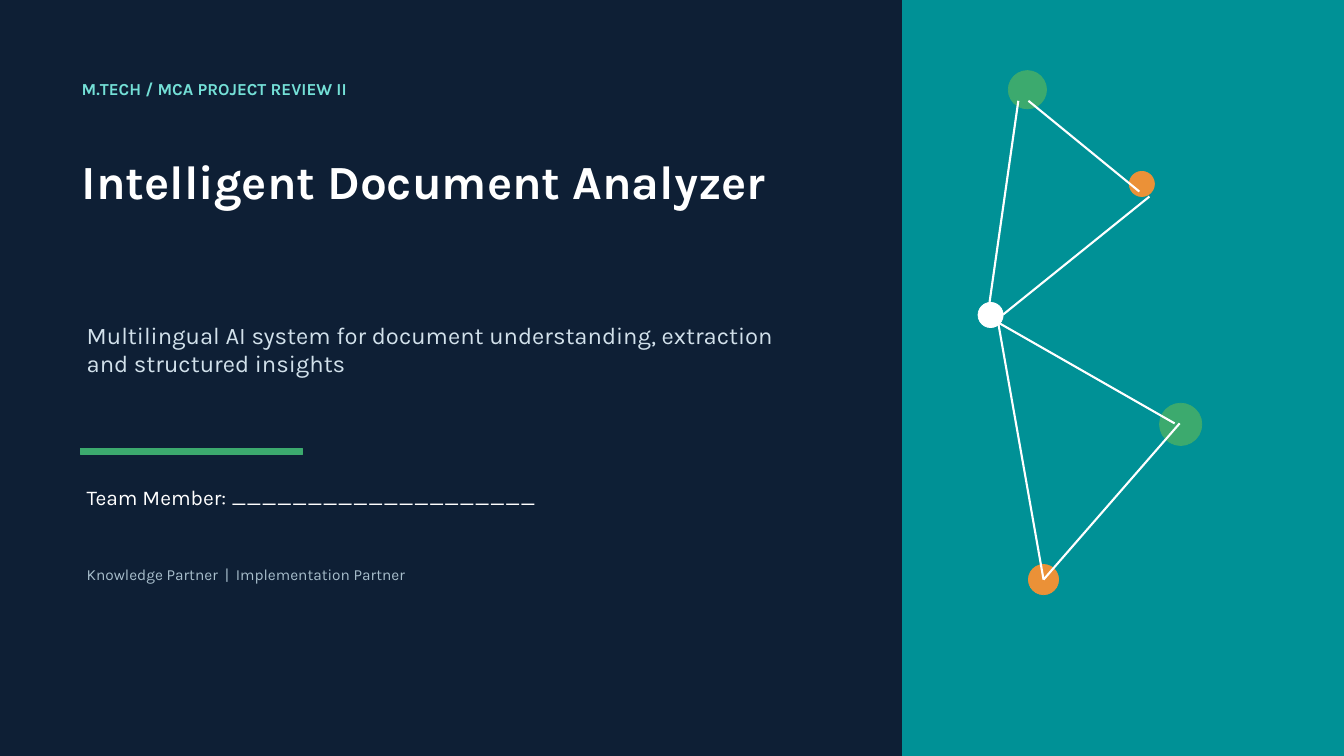
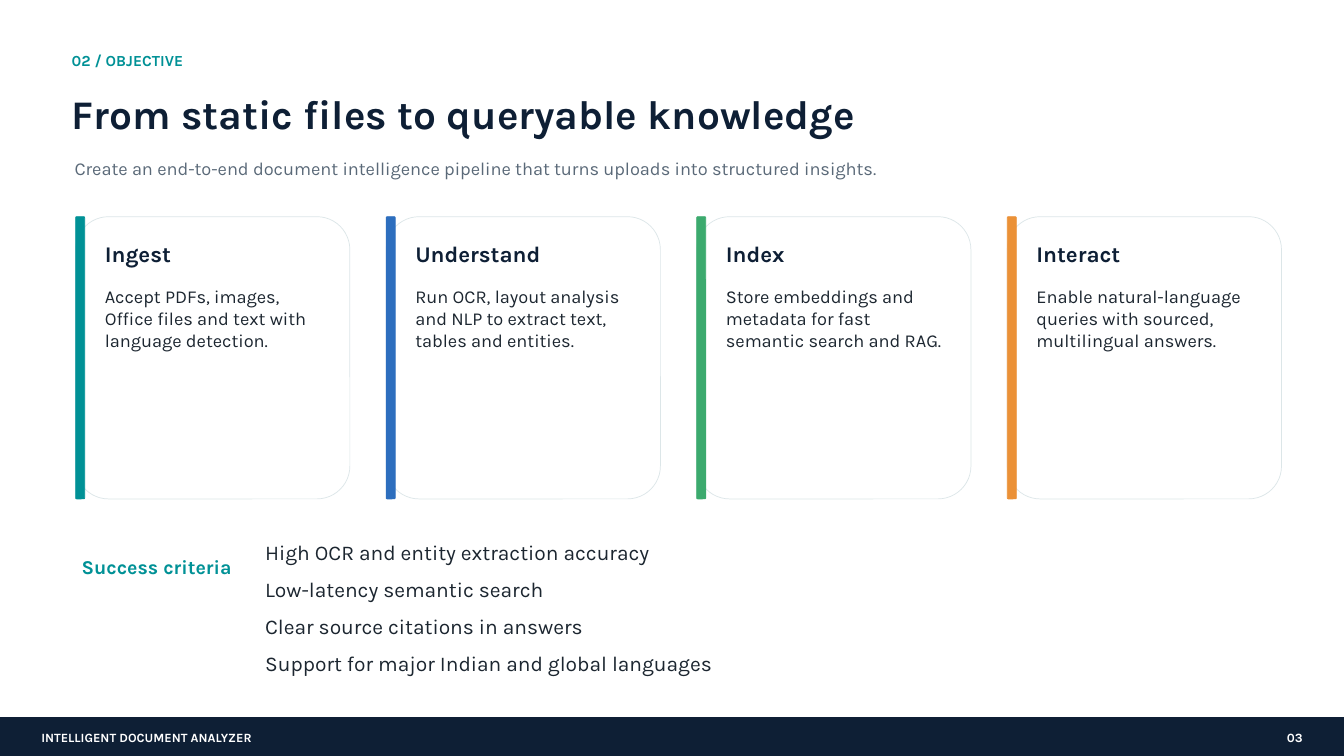
"""Builds the two Intelligent Document Analyzer slides."""
from lxml import etree
from pptx import Presentation
from pptx import util as u
from pptx.dml.color import RGBColor
from pptx.enum import shapes, text
from pptx.oxml.ns import qn

SCALE = 9144
FONT = "Karla"
NAVY, TEAL, GREEN, ORANGE = "0E1F35", "009196", "3CAA6E", "EB9137"
BLUE, WHITE, INK, BORDER = "2D6EBE", "FFFFFF", "1C2630", "DCE6E8"
MINT, ICE, MIST, GREY = "74E0D7", "D2E1EB", "A8BECC", "5A6978"
RECT = shapes.MSO_SHAPE.RECTANGLE
ROUND = shapes.MSO_SHAPE.ROUNDED_RECTANGLE
OVAL = shapes.MSO_SHAPE.OVAL


def px(n):
    return u.Emu(n * SCALE)


def rgb(color):
    return RGBColor.from_string(color)


class Deck:
    """Holds the presentation, its style and the current slide."""

    def __init__(self):
        self.prs = Presentation()
        self.prs.slide_width, self.prs.slide_height = px(1333), px(750)
        self.s = None

    def slide(self, background):
        self.s = self.prs.slides.add_slide(self.prs.slide_layouts[5])
        fill = self.s.background.fill
        fill.solid()
        fill.fore_color.rgb = rgb(background)

    def set_text(self, sp, lines, size, color, bold=False, align=text.PP_ALIGN.LEFT,
                 insets=(6, 6, 6, 6), after=0, tabs=()):
        tf = sp.text_frame
        tf.word_wrap = True
        tf.auto_size = text.MSO_AUTO_SIZE.NONE
        tf.vertical_anchor = text.MSO_ANCHOR.TOP
        tf.margin_left, tf.margin_top, tf.margin_right, tf.margin_bottom = map(px, insets)
        for i, line in enumerate(lines):
            p = tf.add_paragraph() if i else tf.paragraphs[0]
            p.text = line
            p.alignment = align
            p.space_after = u.Pt(after)
            if tabs:
                stops = etree.SubElement(p._p.get_or_add_pPr(), qn("a:tabLst"))
                for pos in tabs:
                    etree.SubElement(stops, qn("a:tab"), pos=str(px(pos)), algn="l")
            p.font.name, p.font.size, p.font.bold = FONT, u.Pt(size), bold
            p.font.color.rgb = rgb(color)

    def title(self, box, line, size, color):
        sp = self.s.shapes.title
        sp.left, sp.top, sp.width, sp.height = map(px, box)
        self.set_text(sp, [line], size, color, bold=True)

    def text(self, box, lines, size, color, **style):
        sp = self.s.shapes.add_textbox(*map(px, box))
        self.set_text(sp, lines, size, color, **style)

    def shape(self, kind, box, fill, line=None):
        sp = self.s.shapes.add_shape(kind, *map(px, box))
        sp.shadow.inherit = False
        sp.fill.solid()
        sp.fill.fore_color.rgb = rgb(fill)
        sp.line.color.rgb = rgb(line or fill)
        sp.line.width = u.Pt(0.5)
        if kind == ROUND:
            sp.adjustments[0] = 0.12

    def line(self, start, end):
        cn = self.s.shapes.add_connector(
            shapes.MSO_CONNECTOR.STRAIGHT, *map(px, start + end))
        cn.line.color.rgb = rgb(WHITE)
        cn.line.width = u.Pt(1.5)
        etree.SubElement(cn._element.spPr, qn("a:effectLst"))

    def card(self, left, heading, body, accent):
        top, width, height = 215, 272, 280
        self.shape(ROUND, (left, top, width, height), WHITE, BORDER)
        self.shape(ROUND, (left, top, 9, height), accent)
        self.text((left + 23, top + 17, width - 35, 35), [heading], 16, NAVY, bold=True)
        self.text((left + 23, top + 62, width - 35, 208), [body], 13, INK)

    def footer(self, label, number):
        self.shape(RECT, (0, 712, 1333, 38), NAVY)
        self.text((35, 718, 600, 22), [label], 9, WHITE, bold=True)
        self.text((1263, 718, 35, 22), [number], 9, WHITE, bold=True,
                  align=text.PP_ALIGN.RIGHT)


def cover(deck):
    deck.slide(NAVY)
    deck.shape(RECT, (895, 0, 438, 750), TEAL)
    for left, top, size, color in [
        (1000, 70, 38, GREEN), (1120, 170, 25, ORANGE), (970, 300, 25, WHITE),
        (1150, 400, 42, GREEN), (1020, 560, 30, ORANGE),
    ]:
        deck.shape(OVAL, (left, top, size, size), color)
    for start, end in [
        ((1020, 100), (1130, 190)), ((1010, 100), (980, 310)),
        ((1140, 195), (995, 312)), ((990, 320), (1165, 420)),
        ((990, 320), (1035, 575)), ((1170, 420), (1035, 575)),
    ]:
        deck.line(start, end)
    deck.text((75, 72, 740, 35), ["M.TECH / MCA PROJECT REVIEW II"], 12, MINT, bold=True)
    deck.title((75, 145, 760, 145), "Intelligent Document Analyzer", 34, WHITE)
    deck.text((80, 312, 725, 80), [
        "Multilingual AI system for document understanding, extraction "
        "and structured insights"], 17, ICE)
    deck.shape(RECT, (80, 445, 220, 6), GREEN)
    deck.text((80, 475, 500, 35), ["Team Member: ____________________"], 15, WHITE)
    deck.text((80, 555, 600, 30), ["Knowledge Partner\t|\tImplementation Partner"],
              11, MIST, tabs=(137, 148))


def objective(deck):
    deck.slide(WHITE)
    deck.text((65, 45, 520, 30), ["02 / OBJECTIVE"], 11, TEAL, bold=True)
    deck.title((65, 82, 1170, 65), "From static files to queryable knowledge", 29, NAVY)
    deck.text((68, 150, 1140, 40), [
        "Create an end-to-end document intelligence pipeline that turns uploads "
        "into structured insights."], 13, GREY)
    deck.footer("INTELLIGENT DOCUMENT ANALYZER", "03")
    cards = [
        ("Ingest", "Accept PDFs, images, Office files and text with language detection.", TEAL),
        ("Understand", "Run OCR, layout analysis and NLP to extract text, tables and entities.",
         BLUE),
        ("Index", "Store embeddings and metadata for fast semantic search and RAG.", GREEN),
        ("Interact", "Enable natural-language queries with sourced, multilingual answers.",
         ORANGE),
    ]
    for i, (heading, body, accent) in enumerate(cards):
        deck.card(75 + 308 * i, heading, body, accent)
    deck.text((75, 545, 200, 30), ["Success criteria"], 14, TEAL, bold=True)
    deck.text((255, 530, 870, 155), [
        "High OCR and entity extraction accuracy",
        "Low-latency semantic search",
        "Clear source citations in answers",
        "Support for major Indian and global languages",
    ], 15, INK, insets=(8, 5, 4, 5), after=8.6)


def main():
    deck = Deck()
    cover(deck)
    objective(deck)
    deck.prs.save("out.pptx")


if __name__ == "__main__":
    main()
